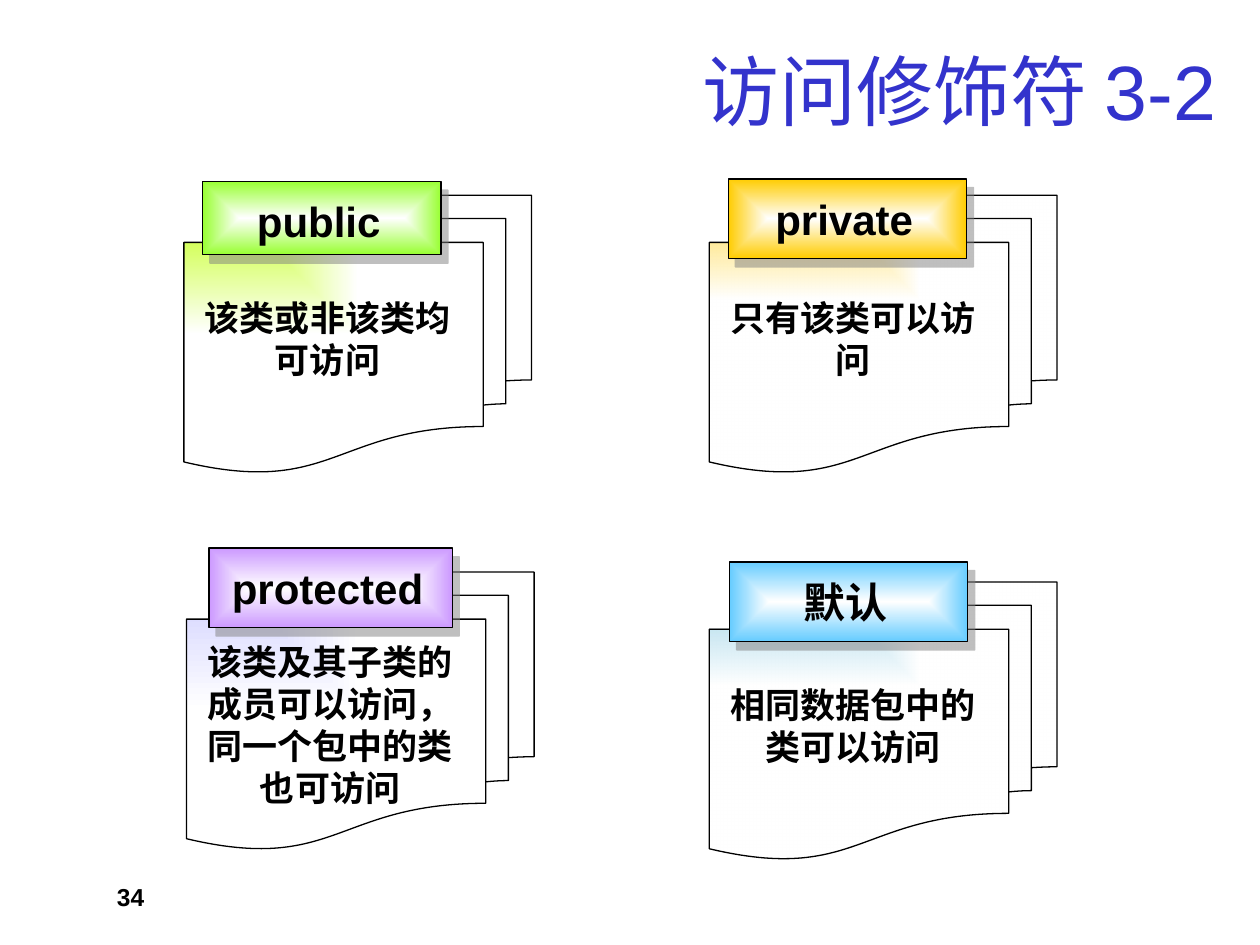
from pptx import Presentation
from pptx.dml.color import RGBColor
from pptx.enum.shapes import MSO_SHAPE
from pptx.enum.text import MSO_ANCHOR, PP_ALIGN
from pptx.oxml import parse_xml
from pptx.oxml.ns import nsdecls, qn
from pptx.util import Inches, Pt

COLUMNS = 100  # square grid cells across the slide width
BLACK, WHITE, TITLE_BLUE = "000000", "FFFFFF", "3333CC"


def color(value):
    return RGBColor.from_string(value)


class SlideBuilder:
    font_name = "Arial"
    line_width = Pt(0.75)

    def __init__(self, presentation):
        self.slide = presentation.slides.add_slide(presentation.slide_layouts[6])
        self.cell = presentation.slide_width / COLUMNS

    def grid(self, *cells):
        return [round(value * self.cell) for value in cells]

    def text(self, box, words, size, hex_color=BLACK, bold=True,
             align=PP_ALIGN.CENTER, anchor=MSO_ANCHOR.MIDDLE, side_margin=1):
        frame = self.slide.shapes.add_textbox(*self.grid(*box)).text_frame
        frame.word_wrap = True
        frame.vertical_anchor = anchor
        frame.margin_left = frame.margin_right = self.grid(side_margin)[0]
        paragraph = frame.paragraphs[0]
        paragraph.text = words
        paragraph.alignment = align
        font = paragraph.font
        font.name, font.size, font.bold = self.font_name, Pt(size), bold
        font.color.rgb = color(hex_color)

    def gradient_shape(self, kind, box, stops, path, focus):
        """Stops are (colour, opacity in %); focus is left, top, right, bottom in %."""
        shape = self.slide.shapes.add_shape(kind, *self.grid(*box))
        shape.shadow.inherit = False
        shape.line.color.rgb = color(BLACK)
        shape.line.width = self.line_width
        stop_xml = "".join(
            f'<a:gs pos="{position}"><a:srgbClr val="{value}">'
            f'<a:alpha val="{opacity * 1000}"/></a:srgbClr></a:gs>'
            for position, (value, opacity) in zip((0, 100000), stops))
        edges = " ".join(f'{side}="{share * 1000}"' for side, share in zip("ltrb", focus))
        shape.fill.solid()
        properties = shape._element.spPr
        properties.replace(properties.find(qn("a:solidFill")), parse_xml(
            f'<a:gradFill {nsdecls("a")} rotWithShape="1"><a:gsLst>{stop_xml}</a:gsLst>'
            f'<a:path path="{path}"><a:fillToRect {edges}/></a:path></a:gradFill>'))
        return shape

    def document(self, left, top, tint, opacity, words, text_drop=5.5):
        self.gradient_shape(MSO_SHAPE.FLOWCHART_MULTIDOCUMENT, (left, top, 27.6, 22),
                            [(tint, opacity), (WHITE, 100)], "rect", (0, 0, 100, 100))
        self.text((left, top + text_drop, 22.8, 11.8), words, 20)

    def label(self, box, tint, words):
        shape = self.gradient_shape(MSO_SHAPE.RECTANGLE, box,
                                    [(WHITE, 100), (tint, 100)], "shape", (50,) * 4)
        effects = shape._element.spPr.find(qn("a:effectLst"))
        effects.append(parse_xml(
            f'<a:outerShdw {nsdecls("a")} dist="{Pt(6.4)}" dir="{51 * 60000}" '
            'algn="ctr" rotWithShape="0"><a:srgbClr val="808080">'
            '<a:alpha val="50000"/></a:srgbClr></a:outerShdw>'))
        left, top, width, height = box
        self.text((left + 0.9, top + 0.65, width - 2.3, 5), words, 24, side_margin=0)


def main():
    presentation = Presentation()
    presentation.slide_width, presentation.slide_height = Inches(10), Inches(7.5)
    builder = SlideBuilder(presentation)

    # Page number and title
    builder.text((8.3, 69.5, 23.3, 2.4), "34", 14,
                 align=PP_ALIGN.LEFT, anchor=MSO_ANCHOR.TOP)
    builder.text((7.5, 2.8, 90, 8.7), "访问修饰符 3-2", 44, TITLE_BLUE, False,
                 PP_ALIGN.RIGHT)

    # Each modifier: document (left, top, tint, opacity, text), label (box, tint, text)
    # The four-line description sits lower, clear of its label and shadow
    modifiers = [
        ((14.6, 15.5, "BEFF07", 100, "该类或非该类均可访问"),
         ((16.1, 14.4, 18.9, 5.8), "99FF33", "public")),
        ((56.3, 15.5, "FFCC00", 86, "只有该类可以访问"),
         ((57.8, 14.2, 18.9, 6.3), "FFCC00", "private")),
        ((56.3, 46.2, "73C1DD", 86, "相同数据包中的类可以访问"),
         ((57.9, 44.6, 18.9, 6.3), "66CCFF", "默认")),
        ((14.8, 45.4, "CCCCFF", 100,
          "该类及其子类的成员可以访问，同一个包中的类也可访问", 6.2),
         ((16.6, 43.5, 19.3, 6.3), "CC99FF", "protected")),
    ]
    for document, label in modifiers:
        builder.document(*document)
        builder.label(*label)

    presentation.save("out.pptx")


if __name__ == "__main__":
    main()
